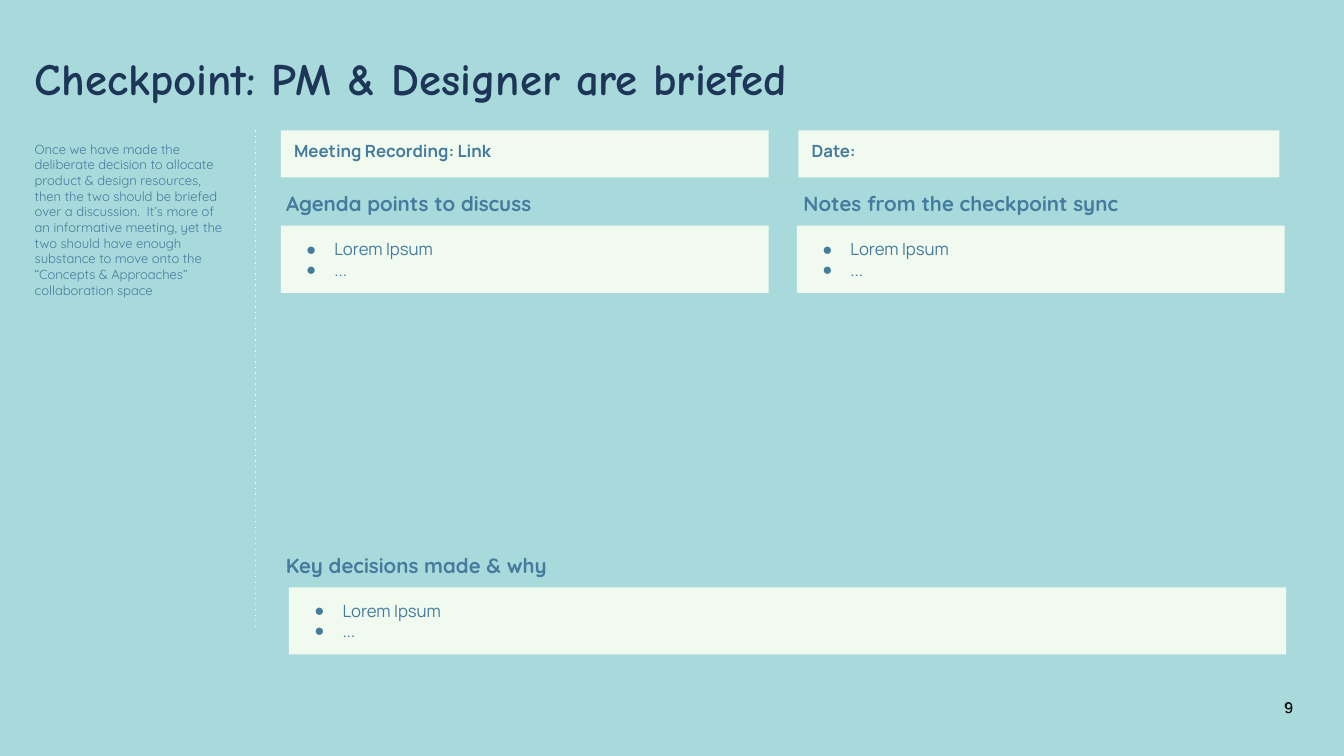
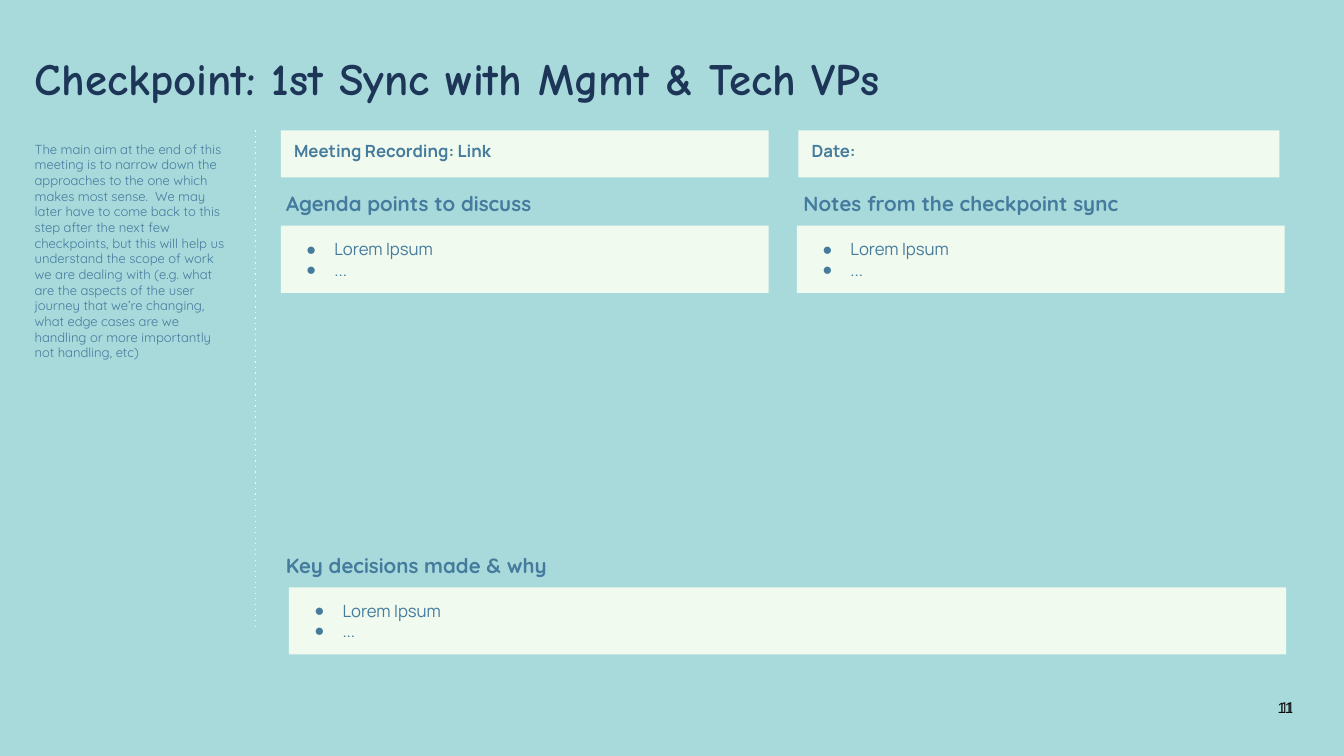
import pptx
import pptx.util
import pptx.dml.color
import pptx.enum.dml
import pptx.enum.shapes
import pptx.enum.text
import pptx.oxml.ns
import lxml.etree

Inches = pptx.util.Inches
Pt = pptx.util.Pt
RGBColor = pptx.dml.color.RGBColor
qn = pptx.oxml.ns.qn

SKY = RGBColor(0xA8, 0xDA, 0xDC)
NAVY = RGBColor(0x1D, 0x35, 0x57)
STEEL = RGBColor(0x45, 0x7B, 0x9D)
CREAM = RGBColor(0xF1, 0xFA, 0xEE)
INK = RGBColor(0x0D, 0x0C, 0x0E)
LEFT = pptx.enum.text.PP_ALIGN.LEFT


def add_text(slide, area, lines, font, size, color=STEEL, bold=False, panel=False, bullet=False):
    place = [Inches(n) for n in area]
    if panel:
        box = slide.shapes.add_shape(pptx.enum.shapes.MSO_SHAPE.RECTANGLE, *place)
        box.shadow.inherit = False
        box.fill.solid()
        box.fill.fore_color.rgb = CREAM
        box.line.fill.background()
    else:
        box = slide.shapes.add_textbox(*place)
    frame = box.text_frame
    frame.word_wrap = True
    if panel:
        frame.auto_size = pptx.enum.text.MSO_AUTO_SIZE.SHAPE_TO_FIT_TEXT
    frame.vertical_anchor = pptx.enum.text.MSO_ANCHOR.TOP
    frame.margin_left = frame.margin_right = Inches(0.1)
    frame.margin_top = frame.margin_bottom = Inches(0.1)
    for i, line in enumerate(lines):
        para = frame.paragraphs[0] if i == 0 else frame.add_paragraph()
        para.alignment = LEFT
        if bullet:
            props = para._p.get_or_add_pPr()
            props.set("marL", str(Inches(0.3)))
            props.set("indent", str(Inches(-0.21)))
            tint = lxml.etree.SubElement(props, qn("a:buClr"))
            lxml.etree.SubElement(tint, qn("a:srgbClr")).set("val", str(STEEL))
            lxml.etree.SubElement(props, qn("a:buFont")).set("typeface", "Arial")
            lxml.etree.SubElement(props, qn("a:buChar")).set("char", "●")
        run = para.add_run()
        run.text = line
        run.font.name = font
        run.font.size = Pt(size)
        run.font.bold = bold
        run.font.color.rgb = color
    return frame


pages = [
    ("9", "Checkpoint: PM & Designer are briefed",
     "Once we have made the deliberate decision to allocate product & design resources, "
     "then the two should be briefed over a discussion.  It’s more of an informative meeting, "
     "yet the two should have enough substance to move onto the “Concepts & Approaches” "
     "collaboration space"),
    ("11", "Checkpoint: 1st Sync with Mgmt & Tech VPs",
     "The main aim at the end of this meeting is to narrow down the approaches to the one "
     "which makes most sense.  We may later have to come back to this step after the next few "
     "checkpoints, but this will help us understand the scope of work we are dealing with "
     "(e.g. what are the aspects of the user journey that we’re changing, what edge cases are "
     "we handling or more importantly not handling, etc)"),
]
heads = [
    ("Agenda points to discuss", (2.03, 1.33, 3.69, 0.37), (2.09, 1.68, 3.63, 0.5)),
    ("Key decisions made & why", (2.03, 4.02, 7.53, 0.37), (2.15, 4.37, 7.42, 0.5)),
    ("Notes from the checkpoint sync", (5.88, 1.33, 3.69, 0.37), (5.93, 1.68, 3.63, 0.5)),
]
facts = [
    ("Meeting Recording: Link", (2.09, 0.97, 3.63, 0.35)),
    ("Date:", (5.94, 0.97, 3.58, 0.35)),
]

deck = pptx.Presentation()
deck.slide_width = Inches(10)
deck.slide_height = deck.slide_width * 9 // 16

for number, title, aim in pages:
    slide = deck.slides.add_slide(deck.slide_layouts[6])
    slide.background.fill.solid()
    slide.background.fill.fore_color.rgb = SKY

    for font in ("Manrope", "Arial"):
        frame = add_text(slide, (9.18, 4.98, 0.54, 0.43), [number], font, 8, INK)
        frame.vertical_anchor = pptx.enum.text.MSO_ANCHOR.BOTTOM
        frame.margin_bottom = Inches(0.13)
        frame.paragraphs[0].alignment = pptx.enum.text.PP_ALIGN.RIGHT

    frame = add_text(slide, (0.16, 0.22, 9.66, 0.64), [title], "Comic Neue", 24, NAVY, bold=True)
    frame.paragraphs[0].line_spacing = 1.15

    rule = slide.shapes.add_connector(
        pptx.enum.shapes.MSO_CONNECTOR.STRAIGHT,
        Inches(1.9), Inches(0.97), Inches(1.9), Inches(4.66))
    rule.line.color.rgb = CREAM
    rule.line.width = Pt(0.75)
    rule.line.dash_style = pptx.enum.dml.MSO_LINE.ROUND_DOT
    rule.line._ln.find(qn("a:prstDash")).set("val", "dot")
    lxml.etree.SubElement(rule._element.spPr, qn("a:effectLst"))

    add_text(slide, (0.16, 0.95, 1.62, 4.08), [aim], "Quicksand", 7)
    for label, top, body in heads:
        add_text(slide, top, [label], "Quicksand", 11, bold=True)
        add_text(slide, body, ["Lorem Ipsum", "..."], "Manrope", 9, panel=True, bullet=True)
    for label, area in facts:
        add_text(slide, area, [label], "Manrope", 9, bold=True, panel=True)

deck.save("out.pptx")
